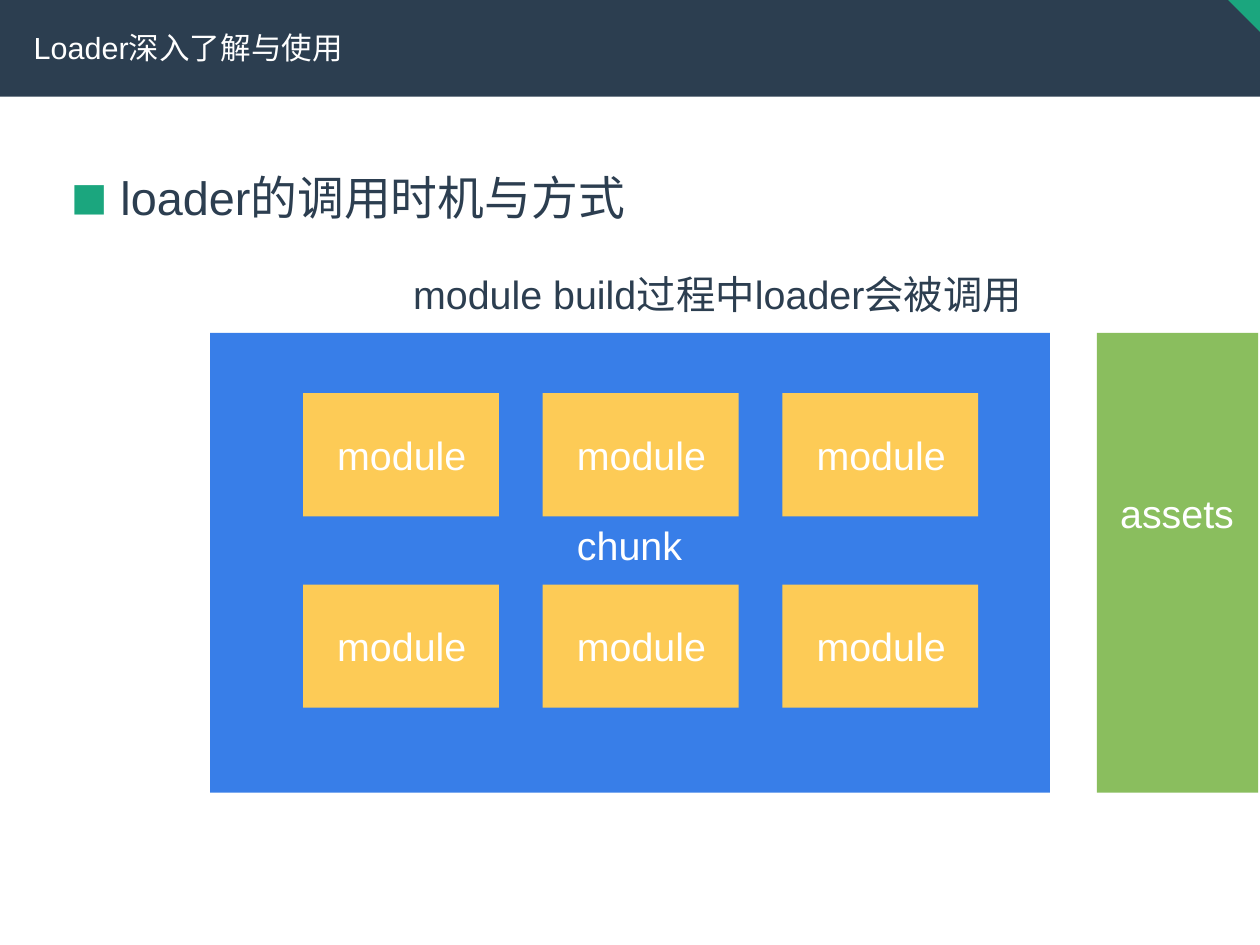
from dataclasses import dataclass

from lxml import etree
from pptx import Presentation
from pptx.dml.color import RGBColor
from pptx.enum.shapes import MSO_SHAPE
from pptx.enum.text import MSO_ANCHOR, MSO_AUTO_SIZE, PP_ALIGN
from pptx.oxml.ns import qn
from pptx.shapes.autoshape import Shape
from pptx.slide import Slide
from pptx.text.text import TextFrame
from pptx.util import Inches, Pt

RECTANGLE = MSO_SHAPE.RECTANGLE
RIGHT_TRIANGLE = MSO_SHAPE.RIGHT_TRIANGLE
MIDDLE, TOP = MSO_ANCHOR.MIDDLE, MSO_ANCHOR.TOP
LEFT, CENTER = PP_ALIGN.LEFT, PP_ALIGN.CENTER
NO_FIT, GROW = MSO_AUTO_SIZE.NONE, MSO_AUTO_SIZE.SHAPE_TO_FIT_TEXT

FONT = "Arial"
COLORS = {
    "navy": "2C3E50",
    "green": "1BA67E",
    "white": "FFFFFF",
    "chunk": "387EE8",
    "module": "FDCB56",
    "assets": "8ABE5E",
}
MODULE_COLUMNS, MODULE_ROWS = 3, 2
MODULE_LEFT, MODULE_TOP = 3.42, 4.44
MODULE_PITCH_X, MODULE_PITCH_Y = 2.705, 2.16


@dataclass(frozen=True)
class Box:
    left: float
    top: float
    width: float
    height: float


@dataclass(frozen=True)
class Label:
    text: str
    box: Box
    color: str = "white"
    wrap: bool = False


def place(shape: Shape, box: Box) -> None:
    shape.left, shape.top = Inches(box.left), Inches(box.top)
    shape.width, shape.height = Inches(box.width), Inches(box.height)


def add_block(slide: Slide, box: Box, color: str, kind: MSO_SHAPE = RECTANGLE) -> Shape:
    shape = slide.shapes.add_shape(
        kind, Inches(box.left), Inches(box.top), Inches(box.width), Inches(box.height)
    )
    shape.shadow.inherit = False
    shape.fill.solid()
    shape.fill.fore_color.rgb = RGBColor.from_string(COLORS[color])
    shape.line.fill.background()
    return shape


def write(text_frame: TextFrame, text: str, size: float, color: str,
          align: PP_ALIGN, anchor: MSO_ANCHOR) -> None:
    text_frame.text = text
    text_frame.vertical_anchor = anchor
    text_frame.margin_left = text_frame.margin_right = Inches(0.04)
    text_frame.margin_top = text_frame.margin_bottom = Inches(0.04)
    paragraph = text_frame.paragraphs[0]
    paragraph.alignment = align
    paragraph.space_before = Pt(0)
    font = paragraph.runs[0].font
    font.name, font.size = FONT, Pt(size)
    font.color.rgb = RGBColor.from_string(COLORS[color])


def add_label(slide: Slide, label: Label) -> None:
    box = label.box
    text_box = slide.shapes.add_textbox(
        Inches(box.left), Inches(box.top), Inches(box.width), Inches(box.height)
    )
    text_frame = text_box.text_frame
    write(text_frame, label.text, 32, label.color, CENTER, MIDDLE)
    text_frame.word_wrap = label.wrap
    text_frame.auto_size = GROW


def fill_placeholder(slide: Slide, shape: Shape, box: Box, text: str,
                     size: float, color: str, anchor: MSO_ANCHOR) -> None:
    """Format a placeholder and bring it in front of the header band."""
    place(shape, box)
    write(shape.text_frame, text, size, color, LEFT, anchor)
    shape.text_frame.word_wrap = True
    shape.text_frame.auto_size = NO_FIT
    slide.shapes.element.append(shape.element)


def set_square_bullet(text_frame: TextFrame) -> None:
    properties = text_frame.paragraphs[0]._p.get_or_add_pPr()
    properties.set("marL", str(Inches(0.56)))
    properties.set("indent", str(-Inches(0.56)))
    bullet_color = etree.SubElement(properties, qn("a:buClr"))
    etree.SubElement(bullet_color, qn("a:srgbClr"), val=COLORS["green"])
    etree.SubElement(properties, qn("a:buSzPct"), val="130000")
    etree.SubElement(properties, qn("a:buFont"), typeface=FONT)
    etree.SubElement(properties, qn("a:buChar"), char="■")


def add_header(slide: Slide) -> None:
    add_block(slide, Box(0, 0, 14.22, 1.09), "navy")
    corner = add_block(slide, Box(13.86, 0, 0.36, 0.36), "green", RIGHT_TRIANGLE)
    corner.rotation = 180
    fill_placeholder(slide, slide.shapes.title, Box(0.34, 0.25, 13.55, 0.56),
                     "Loader深入了解与使用", 24.8, "white", MIDDLE)


def add_modules(slide: Slide) -> None:
    for row in range(MODULE_ROWS):
        for column in range(MODULE_COLUMNS):
            left = MODULE_LEFT + column * MODULE_PITCH_X
            top = MODULE_TOP + row * MODULE_PITCH_Y
            add_block(slide, Box(left, top, 2.21, 1.39), "module")
            add_label(slide, Label("module", Box(left + 0.28, top + 0.34, 1.67, 0.71)))


def main() -> None:
    presentation = Presentation()
    presentation.slide_width = Inches(14.22)
    presentation.slide_height = Inches(10.67)
    slide = presentation.slides.add_slide(presentation.slide_layouts[1])

    add_header(slide)
    body = slide.placeholders[1]
    fill_placeholder(slide, body, Box(0.76, 1.87, 10.23, 1.11),
                     "loader的调用时机与方式", 38, "navy", TOP)
    set_square_bullet(body.text_frame)

    add_block(slide, Box(2.37, 3.76, 9.48, 5.19), "chunk")
    add_label(slide, Label("chunk", Box(6.41, 5.8, 1.39, 0.71)))
    add_modules(slide)
    add_block(slide, Box(12.38, 3.76, 1.82, 5.19), "assets")
    add_label(slide, Label("assets", Box(12.52, 5.43, 1.53, 0.71)))
    add_label(slide, Label("module build过程中loader会被调用",
                           Box(4.42, 2.96, 7.36, 0.71), "navy", wrap=True))

    presentation.save("out.pptx")


if __name__ == "__main__":
    main()
